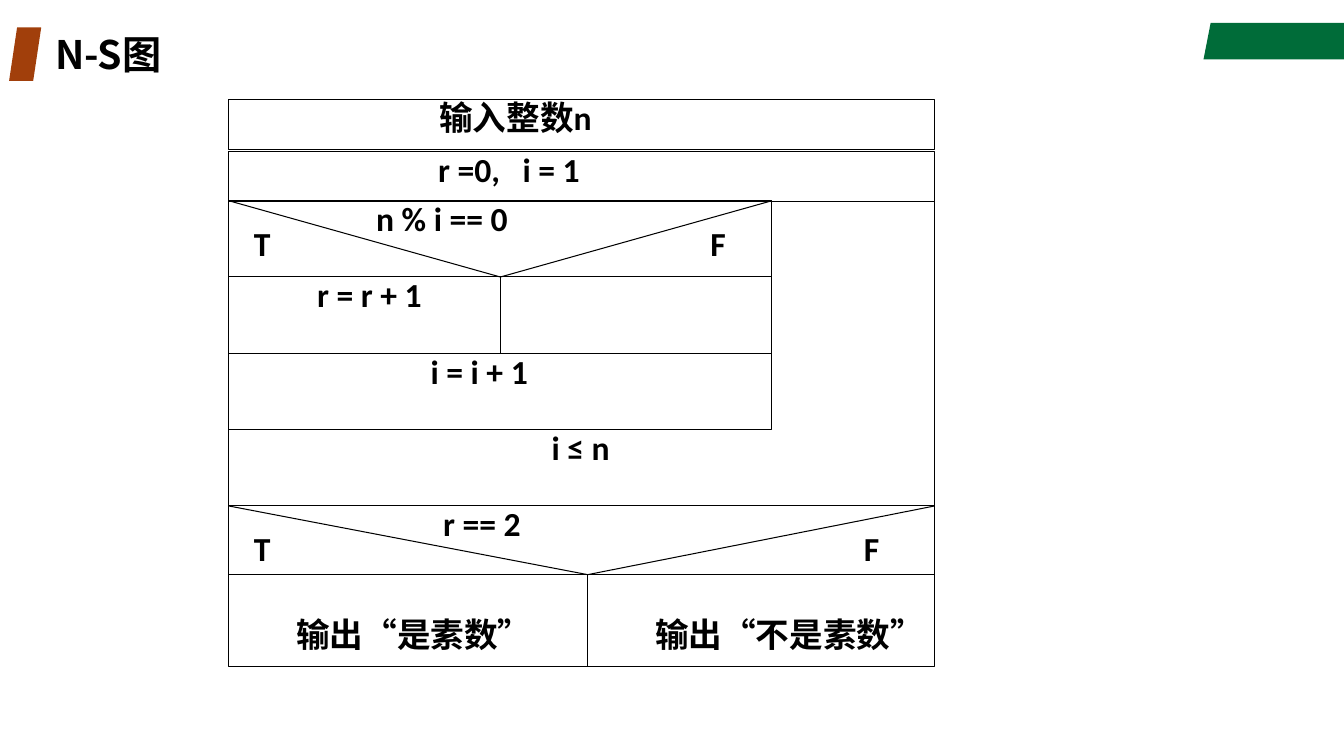
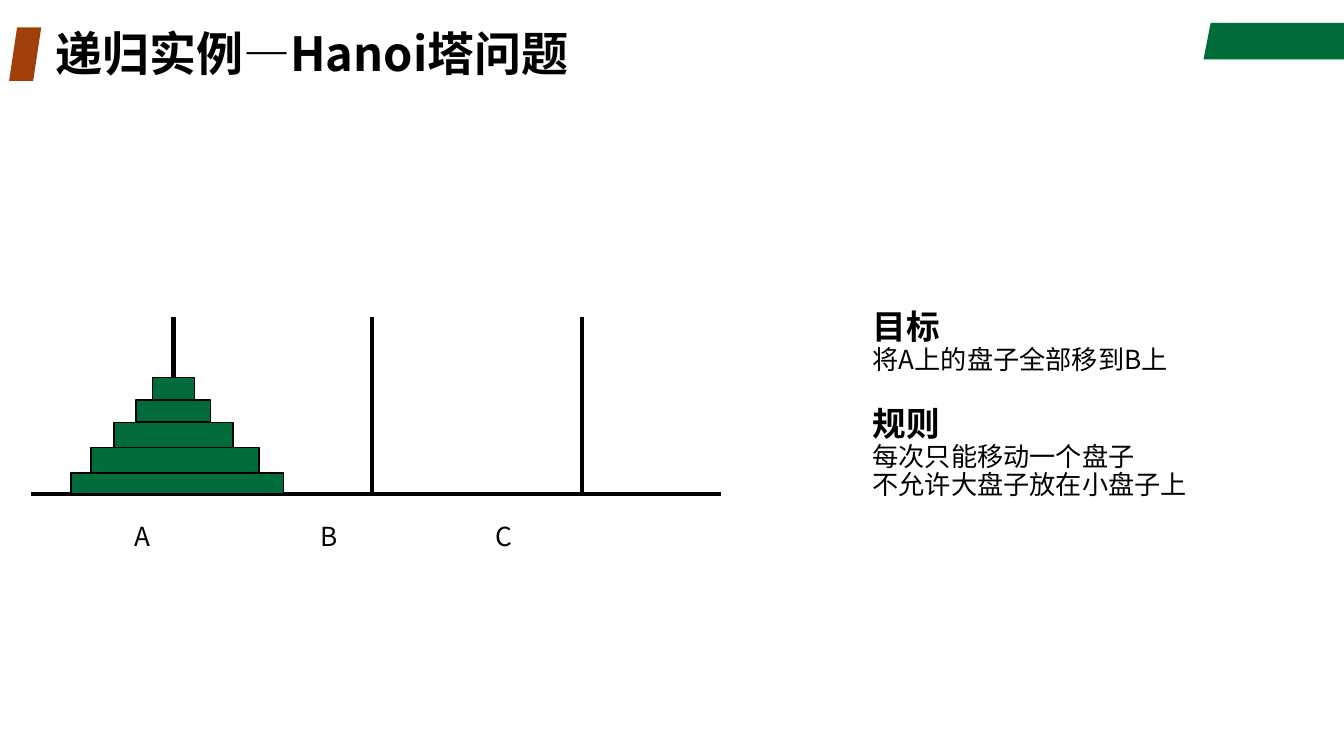
from lxml.etree import SubElement
from pptx import Presentation
from pptx.dml.color import RGBColor
from pptx.enum.shapes import MSO_CONNECTOR, MSO_SHAPE
from pptx.enum.text import MSO_ANCHOR
from pptx.oxml.ns import qn
from pptx.util import Cm, Pt

COLORS = {"ink": "000000", "green": "006C39", "rust": "A13F0B"}
CJK_FONT = "Noto Sans CJK SC"
CODE_FONT = "Calibri"


class Deck:
    """Hold the shared style and the slide being drawn."""

    def __init__(self):
        self.prs = Presentation()
        self.prs.slide_width, self.prs.slide_height = Cm(33.87), Cm(19.05)
        self.shapes = None

    def color(self, name):
        return RGBColor.from_string(COLORS[name])

    def paint(self, shape, fill=None, line=None):
        shape.shadow.inherit = False
        if fill:
            shape.fill.solid()
            shape.fill.fore_color.rgb = self.color(fill)
        else:
            shape.fill.background()
        if line:
            shape.line.color.rgb = self.color("ink")
            shape.line.width = Pt(line)
        else:
            shape.line.fill.background()

    def new_slide(self, title, size):
        self.shapes = self.prs.slides.add_slide(self.prs.slide_layouts[6]).shapes
        corners = [(30.51, 0.58), (33.87, 0.58), (33.87, 1.5), (30.33, 1.5)]
        points = [(Cm(x), Cm(y)) for x, y in corners]
        outline = self.shapes.build_freeform(*points[0])
        outline.add_line_segments(points[1:], close=True)
        self.paint(outline.convert_to_shape(), "green")
        marker = self.box(0.23, 0.69, 0.81, 1.35, "rust", None, MSO_SHAPE.PARALLELOGRAM)
        marker.adjustments[0] = 0.25
        heading = self.text(1.14, 0.69, 24, 1.35, title, size, CJK_FONT, True,
                            insets=(0.25, 0.13), spacing=0.9)
        heading.vertical_anchor = MSO_ANCHOR.MIDDLE

    def box(self, left, top, width, height, fill=None, line=0.75, preset=MSO_SHAPE.RECTANGLE):
        shape = self.shapes.add_shape(preset, Cm(left), Cm(top), Cm(width), Cm(height))
        self.paint(shape, fill, line)
        return shape

    def line(self, x1, y1, x2, y2, width=0.75):
        line = self.shapes.add_connector(
            MSO_CONNECTOR.STRAIGHT, Cm(x1), Cm(y1), Cm(x2), Cm(y2))
        line.line.color.rgb = self.color("ink")
        line.line.width = Pt(width)
        SubElement(line._element.spPr, qn("a:effectLst"))

    def style(self, paragraph, size, font, bold, spacing):
        paragraph.line_spacing = spacing
        for run in paragraph.runs:
            run.font.size = Pt(size)
            run.font.bold = bold
            run.font.color.rgb = self.color("ink")
            run.font.name = font
            SubElement(run._r.get_or_add_rPr(), qn("a:ea")).set("typeface", CJK_FONT)

    def fill_text(self, frame, text, size, font, bold, insets, spacing, tabs=()):
        frame.word_wrap = True
        frame.vertical_anchor = MSO_ANCHOR.TOP
        frame.margin_left, frame.margin_top = Cm(insets[0]), Cm(insets[1])
        frame.margin_right = frame.margin_bottom = 0
        frame.text = text
        for paragraph in frame.paragraphs:
            paragraph.alignment = 1
            self.style(paragraph, size, font, bold, spacing)
            if tabs:
                stops = SubElement(paragraph._p.get_or_add_pPr(), qn("a:tabLst"))
                for stop in tabs:
                    SubElement(stops, qn("a:tab"), pos=str(Cm(stop)), algn="l")

    def text(self, left, top, width, height, text, size=24, font=CODE_FONT, bold=True,
             insets=(0, 0), spacing=0.96, tabs=()):
        frame = self.shapes.add_textbox(Cm(left), Cm(top), Cm(width), Cm(height)).text_frame
        self.fill_text(frame, text, size, font, bold, insets, spacing, tabs)
        return frame

    def cell(self, left, top, width, height, text="", insets=(0, 0), spacing=0.96, tabs=()):
        shape = self.box(left, top, width, height)
        if text:
            self.fill_text(shape.text_frame, text, 24, CODE_FONT, True, insets, spacing, tabs)

    def decision(self, left, top, width, height, split, condition, indent, false_left):
        self.cell(left, top, width, height, condition, (indent, 0))
        for corner in (left, left + width):
            self.line(corner, top, split, top + height)
        for branch, branch_left in (("T", 6.4), ("F", false_left)):
            self.text(branch_left, top + 0.62, 1.4, 1.1, branch)


def draw_flow(deck):
    deck.new_slide("N-S图", 28)
    left, width, split = 5.77, 17.78, 14.81
    right = left + width
    deck.cell(left, 2.51, width, 1.27, "输入整数n", (5.3, 0))
    deck.cell(left, 3.81, width, 1.27, "r =0,\ti = 1", (5.27, 0), tabs=(2.13,))
    deck.cell(left, 5.08, width, 7.67)

    body_top, row, half = 5.06, 1.92, 6.84
    deck.decision(left, body_top, 2 * half, row, left + half, "n % i == 0", 3.71, 17.9)
    deck.cell(left, body_top + row, half, row, "r = r + 1", (2.22, 0))
    deck.cell(left + half, body_top + row, half, row)
    deck.cell(left, body_top + 2 * row, 2 * half, row, "i = i + 1", (5.08, 0))
    deck.text(13.9, body_top + 3 * row, 8, 1.57, "i ≤ n")

    deck.decision(left, 12.75, width, 1.73, split, "r == 2", 5.4, 21.77)
    for start, end, output in ((left, split, "输出“是素数”"), (split, right, "输出“不是素数”")):
        deck.cell(start, 14.48, end - start, 2.31, output, (1.7, 0.99), 1)


def draw_hanoi(deck):
    deck.new_slide("递归实例—Hanoi塔问题", 33.6)
    lines = [("目标", True, 0), ("将A上的盘子全部移到B上", False, 0), ("规则", True, 23),
             ("每次只能移动一个盘子", False, 0), ("不允许大盘子放在小盘子上", False, 0)]
    rules = deck.text(21.74, 7.7, 10.13, 5.79, "\n".join(line[0] for line in lines),
                      insets=(0.25, 0.13))
    for paragraph, (_, heading, gap) in zip(rules.paragraphs, lines):
        paragraph.space_before = Pt(gap)
        paragraph.line_spacing = 0.9
        font = paragraph.runs[0].font
        font.name, font.bold, font.size = CJK_FONT, heading, Pt(24 if heading else 18.7)

    base = 12.45
    deck.line(0.79, base, 18.16, base, 3)
    for peg in (4.37, 9.37, 14.66):
        deck.line(peg, 7.98, peg, base, 3)
    disc_top = base
    for left, width, height in ((1.79, 5.36, 0.53), (2.29, 4.24, 0.64), (2.87, 3, 0.64),
                                (3.43, 1.88, 0.56), (3.84, 1.07, 0.56)):
        disc_top -= height
        deck.box(left, disc_top, width, height, "green", 1)
    deck.text(3.4, 13.1, 13, 1, "A\tB\tC", 18.7, CJK_FONT, False, spacing=1, tabs=(4.69, 9.1))


def main():
    deck = Deck()
    draw_flow(deck)
    draw_hanoi(deck)
    deck.prs.save("out.pptx")


if __name__ == "__main__":
    main()
